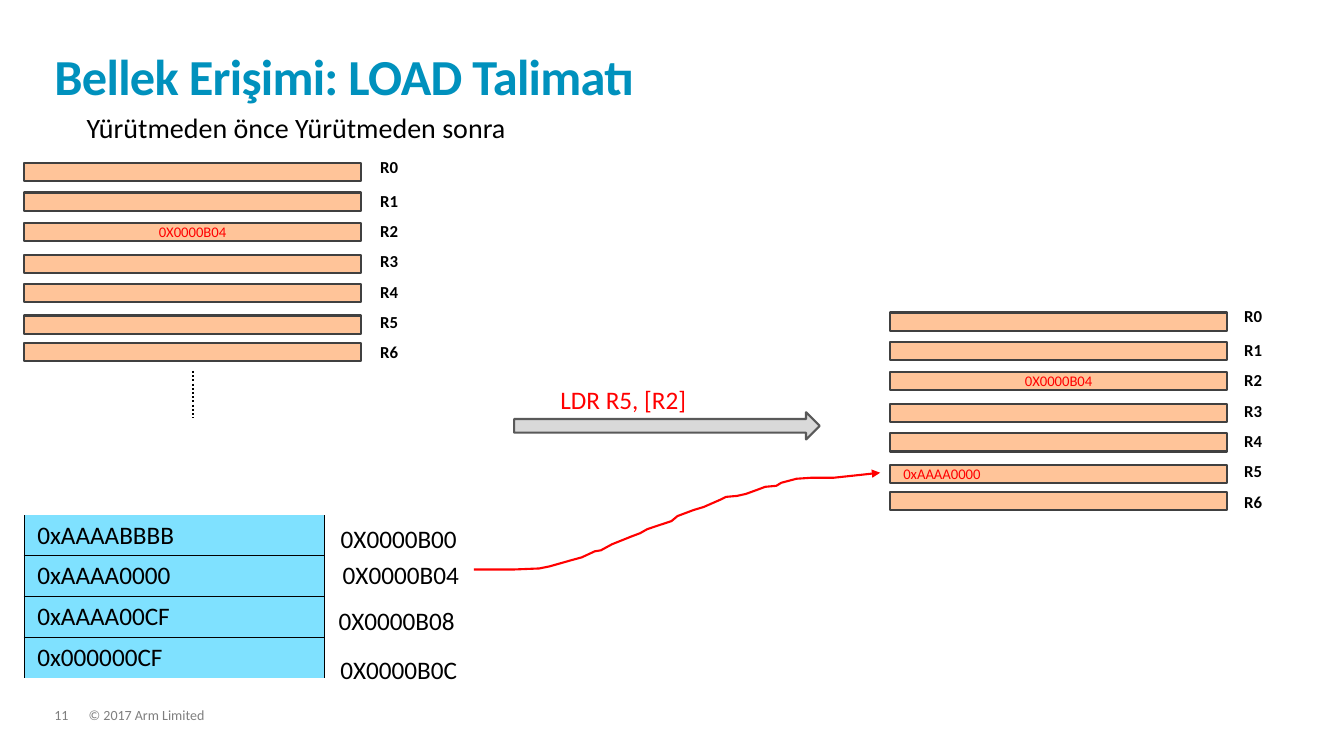
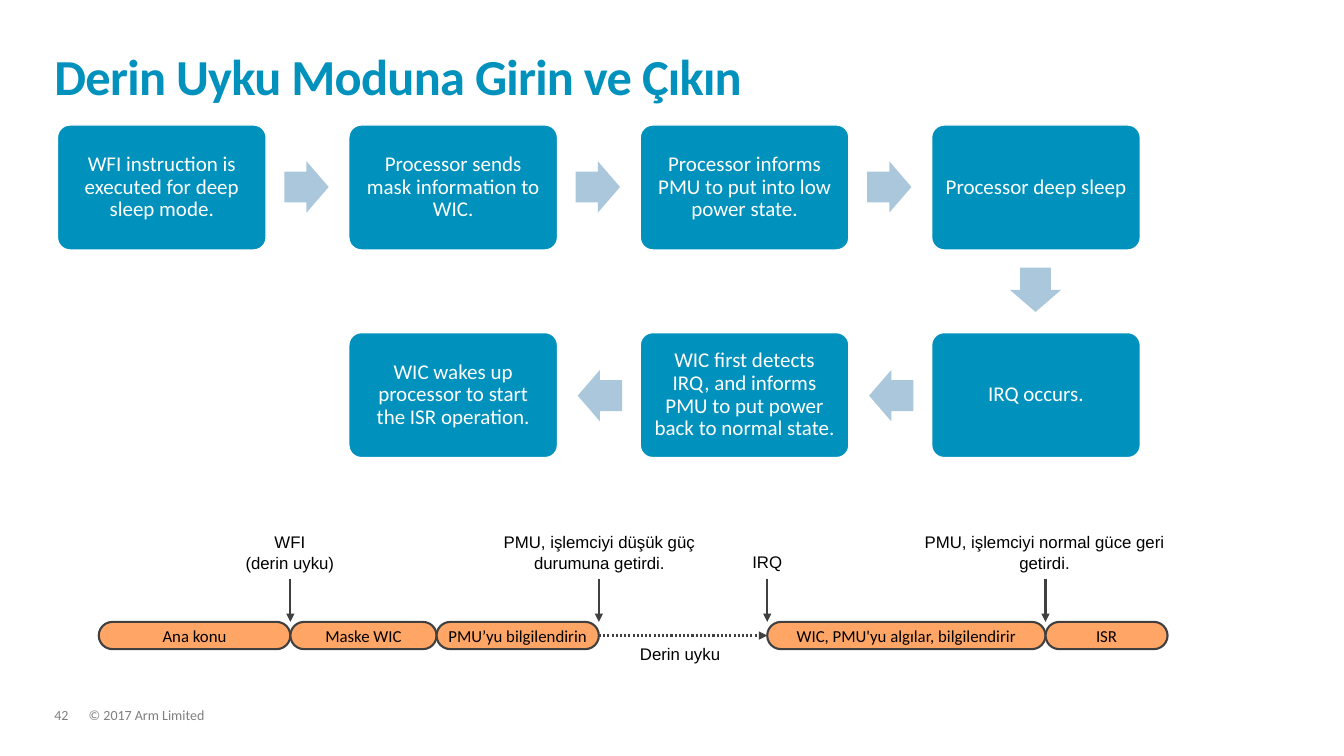
from dataclasses import dataclass
from typing import Optional

from lxml import etree
from pptx import Presentation
from pptx.dml.color import RGBColor
from pptx.enum.dml import MSO_LINE_DASH_STYLE as Dash
from pptx.enum.shapes import MSO_CONNECTOR, MSO_SHAPE as Shape
from pptx.enum.text import MSO_ANCHOR as Anchor, PP_ALIGN as Align
from pptx.oxml.ns import qn
from pptx.util import Inches, Pt

COLORS = {
    "white": "FFFFFF", "black": "000000", "blue": "0091BD", "red": "FF0000",
    "footer": "7F7F7F", "outline": "404040", "register": "FFC499",
    "memory": "7FE1FF", "pill": "FFA666", "flow_arrow": "ABC7DB",
    "block_arrow": "D9D9D9", "block_outline": "595959",
}
REGISTER_OFFSETS = (0, 0.29, 0.59, 0.91, 1.2, 1.51, 1.78)
BOX_WIDTH, BOX_HEIGHT = 2.07, 1.24
PILL_TOP, PILL_HEIGHT = 6.17, 0.27


@dataclass(frozen=True)
class TextStyle:
    size: float
    color: str = "black"
    font: str = "Calibri"
    bold: bool = False
    align: Align = Align.LEFT
    anchor: Anchor = Anchor.TOP
    insets: tuple = (0.1, 0.05)
    line_spacing: Optional[float] = None
    tracking: int = 0
    wrap: bool = True


TITLE = TextStyle(36, "blue", bold=True, anchor=Anchor.BOTTOM, insets=(0, 0),
                  line_spacing=0.85, tracking=-50)
FOOTER = TextStyle(10, "footer", insets=(0, 0), line_spacing=0.9)
SUBTITLE = TextStyle(20)
INSTRUCTION = TextStyle(18, "red")
ADDRESS = TextStyle(18, align=Align.CENTER, wrap=False)
MEMORY_CELL = TextStyle(18, insets=(0.13, 0.05))
REGISTER_NAME = TextStyle(12, bold=True, insets=(0.13, 0.05))
REGISTER_VALUE = TextStyle(10.5, "red", align=Align.CENTER, anchor=Anchor.MIDDLE, wrap=False)
LOADED_VALUE = TextStyle(10.5, "red", anchor=Anchor.MIDDLE, insets=(0.13, 0))
STEP = TextStyle(15, "white", align=Align.CENTER, anchor=Anchor.MIDDLE,
                 insets=(0.1, 0.1), line_spacing=0.9)
PILL = TextStyle(12, align=Align.CENTER, anchor=Anchor.MIDDLE, wrap=False)
EVENT = TextStyle(12, font="Arial", align=Align.CENTER)


@dataclass(frozen=True)
class RegisterBank:
    left: float
    top: float
    names_left: float
    values: dict


@dataclass(frozen=True)
class Step:
    column: int
    row: int
    text: str
    arrow: Optional[str]


@dataclass(frozen=True)
class Phase:
    left: float
    right: float
    text: str


@dataclass(frozen=True)
class Event:
    x: float
    left: float
    top: float
    width: float
    text: str


BANKS = (
    RegisterBank(0.24, 1.62, 3.64, {2: ("0X0000B04", REGISTER_VALUE)}),
    RegisterBank(8.83, 3.1, 12.21, {2: ("0X0000B04", REGISTER_VALUE),
                                    5: ("0xAAAA0000", LOADED_VALUE)}),
)
MEMORY = ("0xAAAABBBB", "0xAAAA0000", "0xAAAA00CF", "0x000000CF")
ADDRESSES = (("0X0000B00", 3.25, 5.14), ("0X0000B04", 3.27, 5.5),
             ("0X0000B08", 3.23, 5.96), ("0X0000B0C", 3.25, 6.44))
LOAD_PATH = (
    (4.7, 5.65), (5.1, 5.65), (5.35, 5.64), (5.45, 5.62), (5.66, 5.56), (5.77, 5.53),
    (5.9, 5.47), (5.96, 5.46), (6.07, 5.4), (6.27, 5.32), (6.35, 5.29), (6.42, 5.25),
    (6.51, 5.22), (6.66, 5.17), (6.72, 5.12), (6.88, 5.06), (6.98, 5.03), (7.14, 4.96),
    (7.2, 4.93), (7.31, 4.92), (7.4, 4.9), (7.51, 4.86), (7.59, 4.83), (7.7, 4.82),
    (7.75, 4.79), (7.9, 4.75), (8.05, 4.74), (8.27, 4.74), (8.55, 4.71), (8.73, 4.69),
)
STEPS = (
    Step(0, 0, "WFI instruction is executed for deep sleep mode.", "right"),
    Step(1, 0, "Processor sends mask information to WIC.", "right"),
    Step(2, 0, "Processor informs PMU to put into low power state.", "right"),
    Step(3, 0, "Processor deep sleep", "down"),
    Step(3, 1, "IRQ occurs.", "left"),
    Step(2, 1, "WIC first detects IRQ, and informs PMU to put power back to normal state.", "left"),
    Step(1, 1, "WIC wakes up processor to start the ISR operation.", None),
)
# Offset from the step's corner, and rotation
STEP_ARROWS = {"right": (2.25, 0.36, 0), "down": (0.81, 1.38, 90), "left": (-0.62, 0.37, 180)}
PHASES = (
    Phase(0.98, 2.88, "Ana konu"),
    Phase(2.88, 4.33, "Maske WIC"),
    Phase(4.33, 5.94, "PMU’yu bilgilendirin"),
    Phase(7.61, 10.37, "WIC, PMU'yu algılar, bilgilendirir"),
    Phase(10.37, 11.58, "ISR"),
)
EVENTS = (
    Event(2.88, 1.75, 5.23, 2.25, "WFI\n(derin uyku)"),
    Event(5.94, 4.82, 5.23, 2.25, "PMU, işlemciyi düşük güç durumuna getirdi."),
    Event(7.61, 7.18, 5.42, 0.86, "IRQ"),
    Event(10.37, 8.99, 5.23, 2.74, "PMU, işlemciyi normal güce geri getirdi."),
)


def rgb(name: str) -> RGBColor:
    return RGBColor.from_string(COLORS[name])


def format_text(frame, style: TextStyle) -> None:
    for para in frame.paragraphs:
        para.alignment = style.align
        if style.line_spacing:
            para.line_spacing = style.line_spacing
        for span in para.runs:
            span.font.size = Pt(style.size)
            span.font.name = style.font
            span.font.bold = style.bold
            span.font.color.rgb = rgb(style.color)
            if style.tracking:
                span._r.get_or_add_rPr().set("spc", str(style.tracking))


def put_text(shape, text: str, style: TextStyle) -> None:
    frame = shape.text_frame
    frame.text = text
    frame.word_wrap = style.wrap
    frame.vertical_anchor = style.anchor
    frame.margin_left = frame.margin_right = Inches(style.insets[0])
    frame.margin_top = frame.margin_bottom = Inches(style.insets[1])
    format_text(frame, style)


def add_text(page, left: float, top: float, width: float, height: float,
             text: str, style: TextStyle):
    box = page.shapes.add_textbox(Inches(left), Inches(top), Inches(width), Inches(height))
    put_text(box, text, style)
    return box


def add_block(page, kind, left: float, top: float, width: float, height: float,
              fill: str, line: Optional[str] = None, line_width: float = 1.5):
    block = page.shapes.add_shape(kind, Inches(left), Inches(top), Inches(width), Inches(height))
    block.shadow.inherit = False
    block.fill.solid()
    block.fill.fore_color.rgb = rgb(fill)
    if line:
        block.line.color.rgb = rgb(line)
        block.line.width = Pt(line_width)
    else:
        block.line.fill.background()
    return block


def style_line(shape, color: str, dotted: bool = False, arrow: bool = False) -> None:
    shape.line.color.rgb = rgb(color)
    shape.line.width = Pt(1.5)
    if dotted:
        shape.line.dash_style = Dash.ROUND_DOT
    if arrow:
        outline = shape._element.spPr.find(qn("a:ln"))
        etree.SubElement(outline, qn("a:tailEnd"), type="triangle")


def add_line(page, start: tuple, end: tuple, color: str,
             dotted: bool = False, arrow: bool = False):
    line = page.shapes.add_connector(MSO_CONNECTOR.STRAIGHT, *map(Inches, start + end))
    style_line(line, color, dotted, arrow)
    etree.SubElement(line._element.spPr, qn("a:effectLst"))
    return line


def set_borders(cell, colors: dict) -> None:
    """Draw 1 pt borders; sides are L, R, T, B, and None hides one."""
    properties = cell._tc.get_or_add_tcPr()
    for side, color in colors.items():
        border = etree.SubElement(properties, qn(f"a:ln{side}"), w=str(Pt(1)))
        if color:
            fill = etree.SubElement(border, qn("a:solidFill"))
            etree.SubElement(fill, qn("a:srgbClr"), val=COLORS[color])
        else:
            etree.SubElement(border, qn("a:noFill"))


def add_column(page, left: float, top: float, width: float, heights: list,
               texts: list, style: TextStyle, fill: str, border: str) -> None:
    """Add a one-column table that is open at its top and bottom."""
    count = len(texts)
    frame = page.shapes.add_table(count, 1, Inches(left), Inches(top),
                                  Inches(width), Inches(sum(heights)))
    table = frame.table
    table.first_row = table.horz_banding = False
    for index, (height, text) in enumerate(zip(heights, texts)):
        table.rows[index].height = Inches(height)
        cell = table.cell(index, 0)
        set_borders(cell, {"L": border, "R": border, "T": border if index else None,
                           "B": border if index < count - 1 else None})
        cell.fill.solid()
        cell.fill.fore_color.rgb = rgb(fill)
        cell.margin_left = cell.margin_right = Inches(style.insets[0])
        cell.margin_top = cell.margin_bottom = Inches(style.insets[1])
        cell.text_frame.text = text
        format_text(cell.text_frame, style)


def add_page(deck, title: str, number: int):
    page = deck.slides.add_slide(deck.slide_layouts[6])
    add_text(page, 0.88, 7.03, 9.13, 0.15, "© 2017 Arm Limited", FOOTER)
    add_text(page, 0.54, 7.03, 0.34, 0.15, str(number), FOOTER)
    add_text(page, 0.54, 0.32, 12.23, 0.73, title, TITLE)
    return page


def add_bank(page, bank: RegisterBank) -> None:
    for index, offset in enumerate(REGISTER_OFFSETS):
        register = add_block(page, Shape.RECTANGLE, bank.left, bank.top + offset,
                             3.34, 0.18, "register", "outline")
        if index in bank.values:
            put_text(register, *bank.values[index])
    count = len(REGISTER_OFFSETS)
    add_column(page, bank.names_left, bank.top - 0.11, 0.97, [0.34] + [0.3] * (count - 1),
               [f"R{index}" for index in range(count)], REGISTER_NAME, "white", "white")


def add_load_path(page) -> None:
    points = [(Inches(x), Inches(y)) for x, y in LOAD_PATH]
    builder = page.shapes.build_freeform(*points[0])
    builder.add_line_segments(points[1:], close=False)
    curve = builder.convert_to_shape()
    curve.shadow.inherit = False
    curve.fill.background()
    style_line(curve, "red", arrow=True)


def build_load_page(deck) -> None:
    page = add_page(deck, "Bellek Erişimi: LOAD Talimatı", 11)
    add_text(page, 0.76, 1.05, 10.08, 0.44, "Yürütmeden önce Yürütmeden sonra", SUBTITLE)
    for bank in BANKS:
        add_bank(page, bank)
    add_line(page, (1.91, 3.68), (1.91, 4.14), "black", dotted=True)
    add_block(page, Shape.RIGHT_ARROW, 5.1, 4.09, 3.03, 0.27, "block_arrow", "block_outline")
    add_text(page, 5.46, 3.76, 2.31, 0.4, "LDR R5, [R2]", INSTRUCTION)
    add_column(page, 0.24, 5.11, 2.98, [0.405] * len(MEMORY), MEMORY,
               MEMORY_CELL, "memory", "black")
    for address, left, top in ADDRESSES:
        add_text(page, left, top, 1.41, 0.4, address, ADDRESS)
    add_load_path(page)


def add_step(page, step: Step) -> None:
    left, top = 0.57 + 2.89 * step.column, 1.24 + 2.06 * step.row
    box = add_block(page, Shape.ROUNDED_RECTANGLE, left, top, BOX_WIDTH, BOX_HEIGHT,
                    "blue", "white", 1)
    box.adjustments[0] = 0.1
    put_text(box, step.text, STEP)
    if step.arrow:
        across, down, rotation = STEP_ARROWS[step.arrow]
        arrow = add_block(page, Shape.RIGHT_ARROW, left + across, top + down,
                          0.44, 0.51, "flow_arrow")
        arrow.adjustments[0] = 0.6
        arrow.rotation = rotation


def add_phase(page, phase: Phase):
    pill = add_block(page, Shape.ROUNDED_RECTANGLE, phase.left, PILL_TOP,
                     phase.right - phase.left, PILL_HEIGHT, "pill", "outline")
    pill.adjustments[0] = 0.5
    put_text(pill, phase.text, PILL)
    return pill


def build_sleep_page(deck) -> None:
    page = add_page(deck, "Derin Uyku Moduna Girin ve Çıkın", 42)
    for step in STEPS:
        add_step(page, step)
    pills = [add_phase(page, phase) for phase in PHASES]
    middle = PILL_TOP + PILL_HEIGHT / 2
    sleep = add_line(page, (PHASES[2].right, middle), (PHASES[3].left, middle),
                     "outline", dotted=True, arrow=True)
    sleep.begin_connect(pills[2], 3)
    sleep.end_connect(pills[3], 1)
    add_text(page, 5.89, 6.34, 1.71, 0.3, "Derin uyku", EVENT)
    for event in EVENTS:
        add_line(page, (event.x, 5.74), (event.x, PILL_TOP), "outline", arrow=True)
        add_text(page, event.left, event.top, event.width, 5.73 - event.top, event.text, EVENT)


def main() -> None:
    deck = Presentation()
    deck.slide_width, deck.slide_height = Inches(13.33), Inches(7.5)
    build_load_page(deck)
    build_sleep_page(deck)
    deck.save("out.pptx")


if __name__ == "__main__":
    main()
